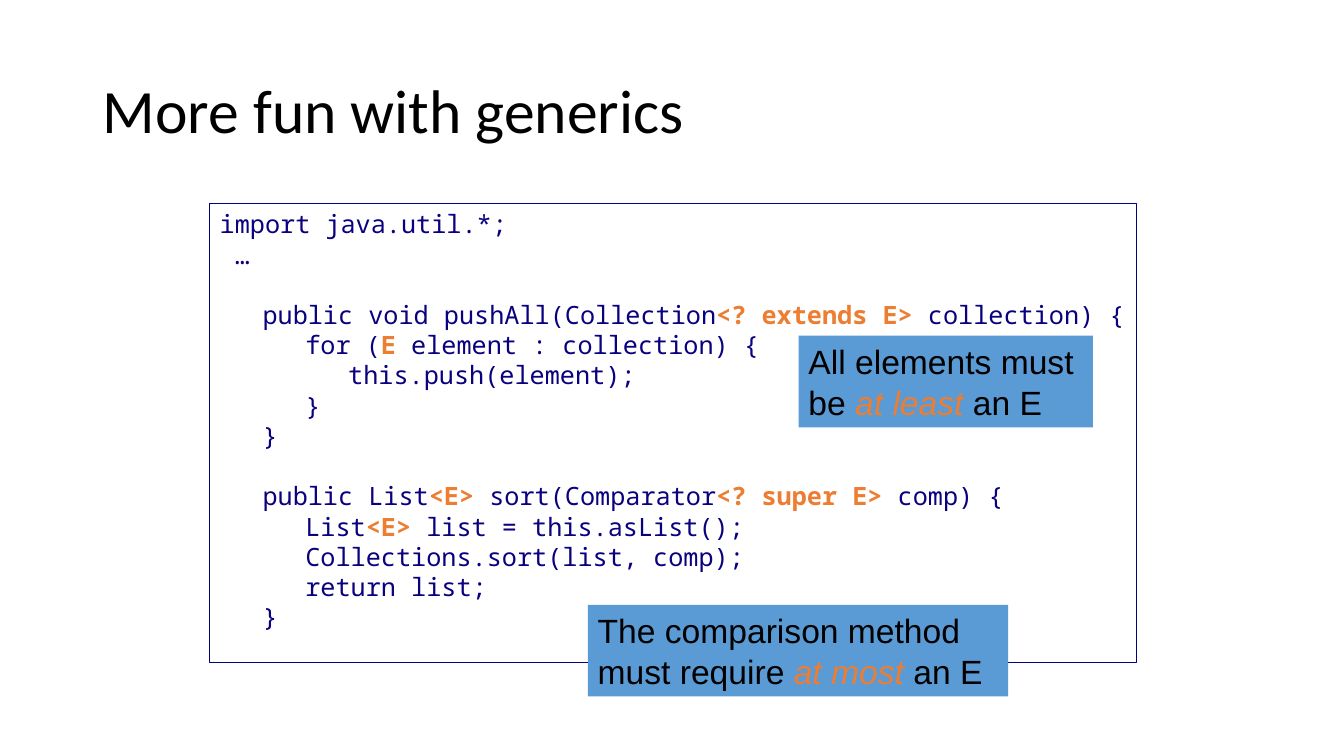
import pptx
import pptx.util
import pptx.dml.color
import pptx.enum.shapes
import pptx.enum.text

Inches, Pt = pptx.util.Inches, pptx.util.Pt
RGB = pptx.dml.color.RGBColor.from_string
ANCHOR = pptx.enum.text.MSO_ANCHOR

THEME = {
    "black": RGB("000000"), "white": RGB("FFFFFF"), "code": RGB("0A017F"),
    "border": RGB("00027F"), "accent": RGB("ED7D31"), "callout": RGB("5B9BD5"),
    "title_font": "Calibri", "code_font": "Noto Sans Mono", "note_font": "Arial",
    "title_size": Pt(44), "code_size": Pt(18), "note_size": Pt(24),
}
CODE_INDENT = 0.425
CODE_LEADING = Pt(21.6)


def add_box(left, top, width, height, fill):
    sp = s.shapes.add_shape(pptx.enum.shapes.MSO_SHAPE.RECTANGLE,
                            Inches(left), Inches(top), Inches(width), Inches(height))
    sp.shadow.inherit = False
    sp.fill.solid()
    sp.fill.fore_color.rgb = fill
    sp.line.fill.background()
    return sp


def add_runs(p, text, font, size, color, emphasis):
    """Parts between bars alternate between plain and highlighted."""
    p.alignment = pptx.enum.text.PP_ALIGN.LEFT
    for i, part in enumerate(text.split("|")):
        if not part:
            continue
        r = p.add_run()
        r.text = part
        r.font.name, r.font.size = font, size
        r.font.color.rgb = THEME["accent"] if i % 2 else color
        if i % 2:
            setattr(r.font, emphasis, True)


prs = pptx.Presentation()
prs.slide_width, prs.slide_height = Inches(13.33), Inches(7.5)
s = prs.slides.add_slide(prs.slide_layouts[5])

# Title
title = s.shapes.title
title.left, title.top = Inches(0.92), Inches(0.4)
title.width, title.height = Inches(11.5), Inches(1.45)
tf = title.text_frame
tf.text = "More fun with generics"
tf.vertical_anchor = ANCHOR.MIDDLE
p = tf.paragraphs[0]
p.alignment = pptx.enum.text.PP_ALIGN.LEFT
p.line_spacing = 0.9
font = p.runs[0].font
font.name, font.size = THEME["title_font"], THEME["title_size"]
font.color.rgb = THEME["black"]

# Code listing: indent level, text, whether a gap comes before
code = [
    (0, "import java.util.*;", False),
    (0, " …", False),
    (1, "public void pushAll(Collection|<? extends E>| collection) {", True),
    (2, "for (|E| element : collection) {", False),
    (3, "this.push(element);", False),
    (2, "}", False),
    (1, "}", False),
    (1, "public List|<E>| sort(Comparator|<? super E>| comp) {", True),
    (2, "List|<E>| list = this.asList();", False),
    (2, "Collections.sort(list, comp);", False),
    (2, "return list;", False),
    (1, "}", False),
]
listing = add_box(2.08, 2.02, 9.19, 4.55, THEME["white"])
listing.line.color.rgb = THEME["border"]
listing.line.width = Pt(0.75)
tf = listing.text_frame
tf.word_wrap = False
tf.vertical_anchor = ANCHOR.TOP
for i, (level, text, gap) in enumerate(code):
    p = tf.paragraphs[0] if i == 0 else tf.add_paragraph()
    add_runs(p, text, THEME["code_font"], THEME["code_size"], THEME["code"], "bold")
    p.line_spacing = CODE_LEADING
    p.space_before = CODE_LEADING if gap else Pt(0)
    pPr = p._p.get_or_add_pPr()
    pPr.set("marL", str(Inches(level * CODE_INDENT)))
    pPr.set("indent", "0")

# Callouts
callouts = [
    (7.92, 3.33, 2.92, "All elements must be |at least| an E"),
    (5.83, 6, 4.17, "The comparison method must require |at most| an E"),
]
for left, top, width, text in callouts:
    tf = add_box(left, top, width, 0.91, THEME["callout"]).text_frame
    tf.word_wrap = True
    tf.vertical_anchor = ANCHOR.MIDDLE
    add_runs(tf.paragraphs[0], text, THEME["note_font"], THEME["note_size"],
             THEME["black"], "italic")

prs.save("out.pptx")
